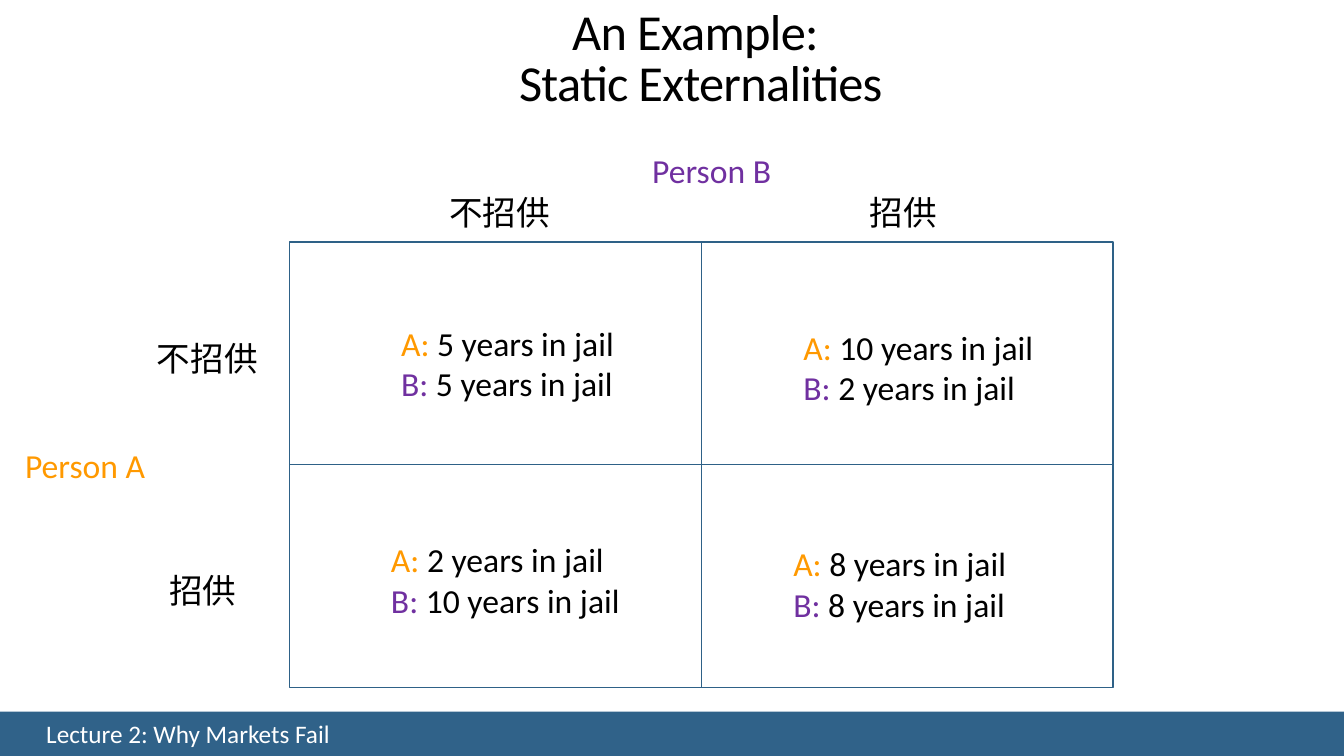
import copy
from dataclasses import dataclass
from typing import Any

import pptx
import pptx.dml.color
import pptx.enum.shapes
import pptx.enum.text
import pptx.oxml.ns
import pptx.util
from lxml import etree

Inches = pptx.util.Inches
Pt = pptx.util.Pt
ALIGN = pptx.enum.text.PP_ALIGN
ANCHOR = pptx.enum.text.MSO_ANCHOR
AUTO_SIZE = pptx.enum.text.MSO_AUTO_SIZE
qn = pptx.oxml.ns.qn

BLACK, WHITE = "000000", "FFFFFF"
PERSON_A, PERSON_B = "FF9900", "7030A0"
BAR, GRID = "306289", "2E6187"

Line = list[tuple[str, str]]  # (text, colour) parts


@dataclass(frozen=True)
class Label:
    left: float
    top: float
    width: float
    lines: list[Line]
    align: Any = ALIGN.LEFT
    height: float = 0.5
    size: int = 24
    indent: float = 0.5
    anchor: Any = ANCHOR.TOP
    auto_size: Any = AUTO_SIZE.SHAPE_TO_FIT_TEXT


def payoff(left: float, top: float, width: float, a: int, b: int) -> Label:
    terms = (("A: ", PERSON_A, a), ("B: ", PERSON_B, b))
    lines = [[(who, colour), (f"{years} years in jail", BLACK)]
             for who, colour, years in terms]
    return Label(left, top, width, lines, height=0.91)


STAY_SILENT, CONFESS = [[("不招供", BLACK)]], [[("招供", BLACK)]]

LABELS = [
    Label(0.07, 7.12, 3.59, [[("Lecture 2: Why Markets Fail", WHITE)]],
          ALIGN.CENTER, 0.32, 18, 0, ANCHOR.MIDDLE, AUTO_SIZE.NONE),
    Label(-0.35, 4.36, 2.16, [[("Person A", PERSON_A)]]),
    Label(5.87, 1.44, 2.16, [[("Person B", PERSON_B)]]),
    Label(0.93, 3.3, 1.75, STAY_SILENT, ALIGN.CENTER),
    Label(1.08, 5.6, 1.75, CONFESS),
    Label(3.54, 1.85, 2.33, STAY_SILENT, ALIGN.CENTER),
    Label(8.03, 1.85, 1.92, CONFESS),
    payoff(3.38, 3.15, 2.84, 5, 5),
    payoff(7.37, 3.19, 3.15, 10, 2),
    payoff(3.28, 5.3, 3.06, 2, 10),
    payoff(7.27, 5.34, 2.84, 8, 8),
]


def set_all(target: Any, values: dict[str, Any]) -> None:
    for name, value in values.items():
        setattr(target, name, value)


def rgb(colour: str) -> pptx.dml.color.RGBColor:
    return pptx.dml.color.RGBColor.from_string(colour)


def add_run(paragraph: Any, text: str, size: int, colour: str) -> Any:
    run = paragraph.add_run()
    run.text = text
    set_all(run.font, {"name": "Calibri", "size": Pt(size)})
    run.font.color.rgb = rgb(colour)
    return run


def add_label(slide: Any, label: Label) -> None:
    box = slide.shapes.add_textbox(Inches(label.left), Inches(label.top),
                                   Inches(label.width), Inches(label.height))
    frame = box.text_frame
    set_all(frame, {"word_wrap": True, "auto_size": label.auto_size,
                    "vertical_anchor": label.anchor})
    for number, line in enumerate(label.lines):
        paragraph = frame.add_paragraph() if number else frame.paragraphs[0]
        paragraph.alignment = label.align
        if label.indent:
            properties = paragraph._p.get_or_add_pPr()
            properties.set("marL", str(Inches(label.indent)))
            properties.set("indent", "0")
            paragraph.level = 1
        for text, colour in line:
            add_run(paragraph, text, label.size, colour)


def write_title(slide: Any) -> None:
    title = slide.shapes.title
    set_all(title, {"left": Inches(3.38), "top": Inches(0.29),
                    "width": Inches(7.14), "height": Inches(0.87)})
    frame = title.text_frame
    set_all(frame, {"word_wrap": True, "auto_size": AUTO_SIZE.NONE,
                    "vertical_anchor": ANCHOR.BOTTOM})
    paragraph = frame.paragraphs[0]
    set_all(paragraph, {"alignment": ALIGN.CENTER, "line_spacing": 0.85})
    first = add_run(paragraph, "An Example: ", 36, BLACK)
    paragraph.add_line_break()
    second = add_run(paragraph, "Static Externalities", 36, BLACK)
    for run in (first, second):
        run.font._element.set("spc", "-50")
    line_break = paragraph._p.find(qn("a:br"))
    line_break.append(copy.deepcopy(first.font._element))


def add_rectangle(shapes: Any, left: float, top: float,
                  width: float, height: float) -> Any:
    rectangle = shapes.add_shape(pptx.enum.shapes.MSO_SHAPE.RECTANGLE,
                                 Inches(left), Inches(top),
                                 Inches(width), Inches(height))
    rectangle.shadow.inherit = False
    return rectangle


def add_footer_bar(slide: Any) -> None:
    bar = add_rectangle(slide.shapes, 0, 7.06, 13.33, 0.46)
    bar.fill.solid()
    bar.fill.fore_color.rgb = rgb(BAR)
    bar.line.fill.background()


def add_matrix(slide: Any) -> None:
    """Draw the frame and the two dividers joining its opposite sides."""
    shapes = slide.shapes.add_group_shape().shapes
    frame = add_rectangle(shapes, 2.87, 2.4, 8.17, 4.42)
    frame.fill.background()
    frame.line.color.rgb = rgb(GRID)
    frame.line.width = Pt(1)
    for start, end in ((0, 2), (1, 3)):
        divider = shapes.add_connector(
            pptx.enum.shapes.MSO_CONNECTOR.STRAIGHT,
            frame.left, frame.top, frame.left, frame.top)
        divider.begin_connect(frame, start)
        divider.end_connect(frame, end)
        divider.line.color.rgb = rgb(GRID)
        divider.line.width = Pt(0.5)
        etree.SubElement(divider._element.spPr, qn("a:effectLst"))


def main() -> None:
    deck = pptx.Presentation()
    set_all(deck, {"slide_width": Inches(13.33), "slide_height": Inches(7.5)})
    slide = deck.slides.add_slide(deck.slide_layouts.get_by_name("Title Only"))
    write_title(slide)
    add_footer_bar(slide)
    add_matrix(slide)
    for label in LABELS:
        add_label(slide, label)
    deck.save("out.pptx")


if __name__ == "__main__":
    main()
